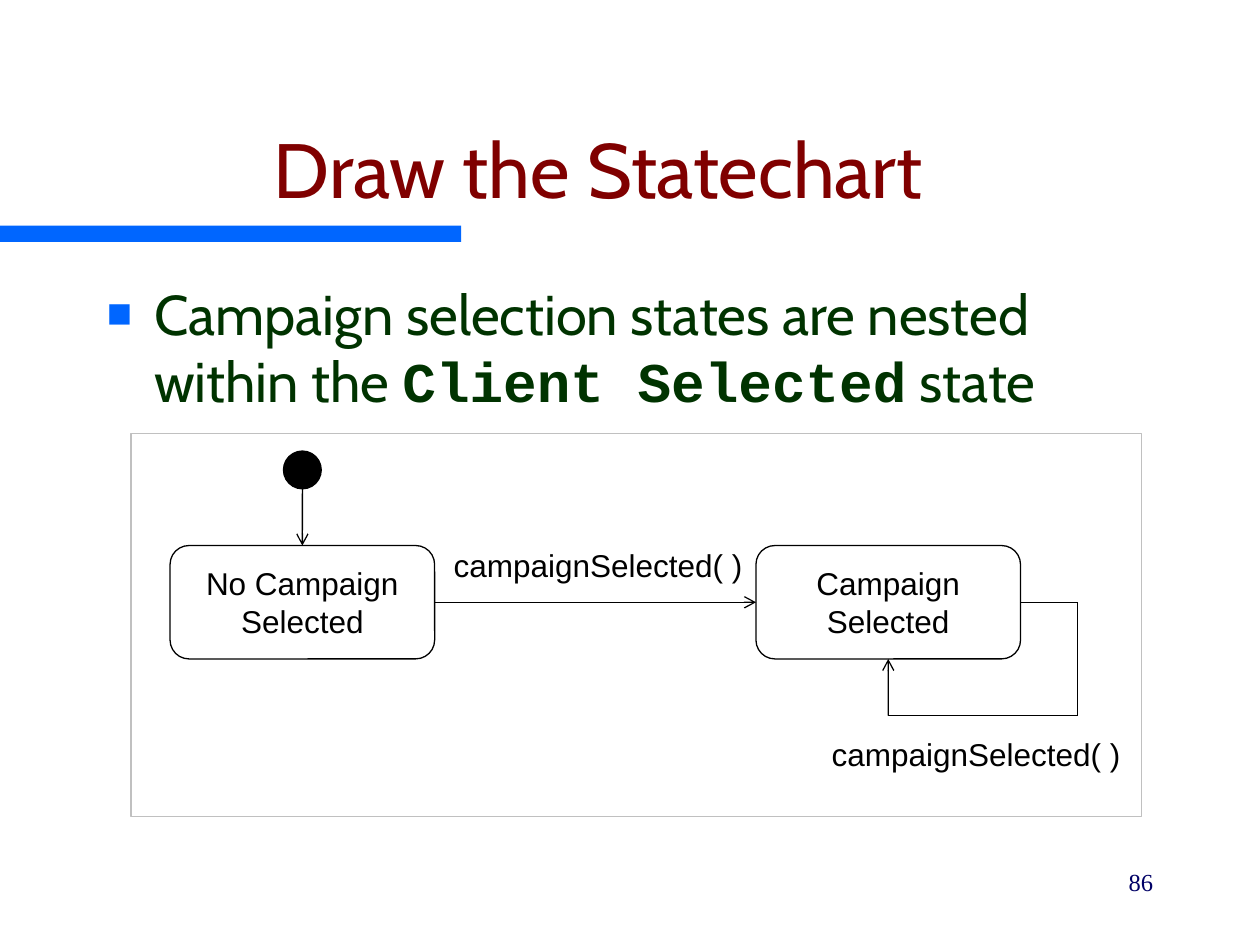
from lxml import etree
from pptx import Presentation
from pptx.dml.color import RGBColor
from pptx.enum.shapes import MSO_CONNECTOR, MSO_SHAPE
from pptx.enum.text import MSO_ANCHOR, PP_ALIGN
from pptx.oxml.ns import qn
from pptx.util import Pt

LEFT, CENTER, RIGHT = PP_ALIGN.LEFT, PP_ALIGN.CENTER, PP_ALIGN.RIGHT
TOP, MIDDLE, BOTTOM = MSO_ANCHOR.TOP, MSO_ANCHOR.MIDDLE, MSO_ANCHOR.BOTTOM
RECT, ROUNDED, OVAL = MSO_SHAPE.RECTANGLE, MSO_SHAPE.ROUNDED_RECTANGLE, MSO_SHAPE.OVAL
SIDE_TOP, SIDE_LEFT, SIDE_BOTTOM, SIDE_RIGHT = range(4)

BLUE, BLACK, WHITE, GREY = "0066FF", "000000", "FFFFFF", "C0C0C0"
MAROON, GREEN, NAVY = "800000", "003300", "000066"

TITLE = "Draw the Statechart"
BULLET = [("Campaign selection states are nested within the ", {}),
          ("Client Selected", {"font": "Courier New", "bold": True}),
          (" state", {})]
EVENT = "campaignSelected( )"
STATES = [(["No Campaign", "Selected"], 97.2), (["Campaign", "Selected"], 432)]
PAGE = "86"

STATE_TOP, STATE_W, STATE_H = 311.76, 151.2, 64.8
EVENT_W, EVENT_H = 170, 21.6
DOT = 21.6
LOOP = 32.4


def rgb(color):
    return RGBColor.from_string(color)


def write(sp, paragraphs, size=18, font="Arial", color=BLACK, align=LEFT,
          anchor=TOP, wrap=True, margins=(7.2, 3.6)):
    """Fill a shape with paragraphs, each a string or a list of (text, overrides)."""
    tf = sp.text_frame
    tf.word_wrap, tf.vertical_anchor = wrap, anchor
    tf.margin_left = tf.margin_right = Pt(margins[0])
    tf.margin_top = tf.margin_bottom = Pt(margins[1])
    for i, runs in enumerate(paragraphs):
        p = tf.add_paragraph() if i else tf.paragraphs[0]
        p.alignment = align
        for text, own in [(runs, {})] if isinstance(runs, str) else runs:
            r = p.add_run()
            r.text = text
            r.font.size = Pt(size)
            r.font.name = own.get("font", font)
            r.font.bold = own.get("bold", False)
            r.font.color.rgb = rgb(color)


def add_text(slide, box, paragraphs, **fmt):
    sp = slide.shapes.add_textbox(*map(Pt, box))
    write(sp, paragraphs, **fmt)
    return sp


def add_box(slide, kind, box, fill, line=None):
    sp = slide.shapes.add_shape(kind, *map(Pt, box))
    sp.shadow.inherit = False
    sp.fill.solid()
    sp.fill.fore_color.rgb = rgb(fill)
    if line:
        sp.line.color.rgb = rgb(line)
        sp.line.width = Pt(0.75)
    else:
        sp.line.fill.background()
    return sp


def add_line(slide, start, end, begin_at=None, end_at=None, arrow=False):
    """Draw a line; begin_at and end_at are (shape, side) pairs to join."""
    cxn = slide.shapes.add_connector(MSO_CONNECTOR.STRAIGHT, *map(Pt, start + end))
    if begin_at:
        cxn.begin_connect(*begin_at)
    if end_at:
        cxn.end_connect(*end_at)
    cxn.line.color.rgb = rgb(BLACK)
    cxn.line.width = Pt(0.75)
    if arrow:
        etree.SubElement(cxn.line._get_or_add_ln(), qn("a:tailEnd"), type="arrow")
    etree.SubElement(cxn._element.spPr, qn("a:effectLst"))


def add_bullet(p, indent):
    pPr = p._p.get_or_add_pPr()
    pPr.set("marL", str(Pt(indent)))
    pPr.set("indent", str(-Pt(indent)))
    color = etree.SubElement(pPr, qn("a:buClr"))
    etree.SubElement(color, qn("a:srgbClr"), val=BLUE)
    etree.SubElement(pPr, qn("a:buSzPct"), val="75000")
    etree.SubElement(pPr, qn("a:buFont"), typeface="Arial")
    etree.SubElement(pPr, qn("a:buChar"), char="■")


def add_statechart(slide):
    add_box(slide, RECT, (74.88, 247.68, 577.44, 218.88), WHITE, GREY)
    states = []
    for lines, x in STATES:
        sp = add_box(slide, ROUNDED, (x, STATE_TOP, STATE_W, STATE_H), WHITE, BLACK)
        write(sp, lines, align=CENTER, anchor=MIDDLE, wrap=False)
        states.append(sp)
    first, second = states
    first_x, second_x = (x for _, x in STATES)
    mid_y = STATE_TOP + STATE_H / 2
    bottom = STATE_TOP + STATE_H

    dot_x, dot_top = first_x + STATE_W / 2, 257.76
    add_box(slide, OVAL, (dot_x - DOT / 2, dot_top, DOT, DOT), BLACK, BLACK)
    add_line(slide, (dot_x, dot_top + DOT), (dot_x, STATE_TOP),
             end_at=(first, SIDE_TOP), arrow=True)
    add_line(slide, (first_x + STATE_W, mid_y), (second_x, mid_y),
             (first, SIDE_RIGHT), (second, SIDE_LEFT), arrow=True)

    right, center = second_x + STATE_W, second_x + STATE_W / 2
    loop = [(right, mid_y), (right + LOOP, mid_y), (right + LOOP, bottom + LOOP),
            (center, bottom + LOOP), (center, bottom)]
    last = len(loop) - 2
    for i, (start, end) in enumerate(zip(loop, loop[1:])):
        add_line(slide, start, end,
                 begin_at=(second, SIDE_RIGHT) if i == 0 else None,
                 end_at=(second, SIDE_BOTTOM) if i == last else None,
                 arrow=i == last)

    for x, y in [(259.2, STATE_TOP), (475.2, 419.76)]:
        add_text(slide, (x, y, EVENT_W, EVENT_H), [EVENT], wrap=False, margins=(0, 0))


def main():
    prs = Presentation()
    prs.slide_width, prs.slide_height = Pt(720), Pt(540)
    slide = prs.slides.add_slide(prs.slide_layouts[5])

    add_box(slide, RECT, (0, 128.88, 263.52, 9.36), BLUE)
    title = slide.shapes.title
    title.left, title.top, title.width, title.height = map(Pt, (18, 36, 648, 90))
    write(title, [TITLE], size=44, font="Cabin", color=MAROON, align=CENTER, anchor=BOTTOM)

    body = add_text(slide, (54, 156.24, 612, 324), [BULLET],
                    size=32, font="Cabin", color=GREEN)
    add_bullet(body.text_frame.paragraphs[0], 27)
    add_statechart(slide)
    add_text(slide, (516.24, 491.76, 149.76, 36), [PAGE],
             size=14, font="Times New Roman", color=NAVY, align=RIGHT)
    prs.save("out.pptx")


if __name__ == "__main__":
    main()
